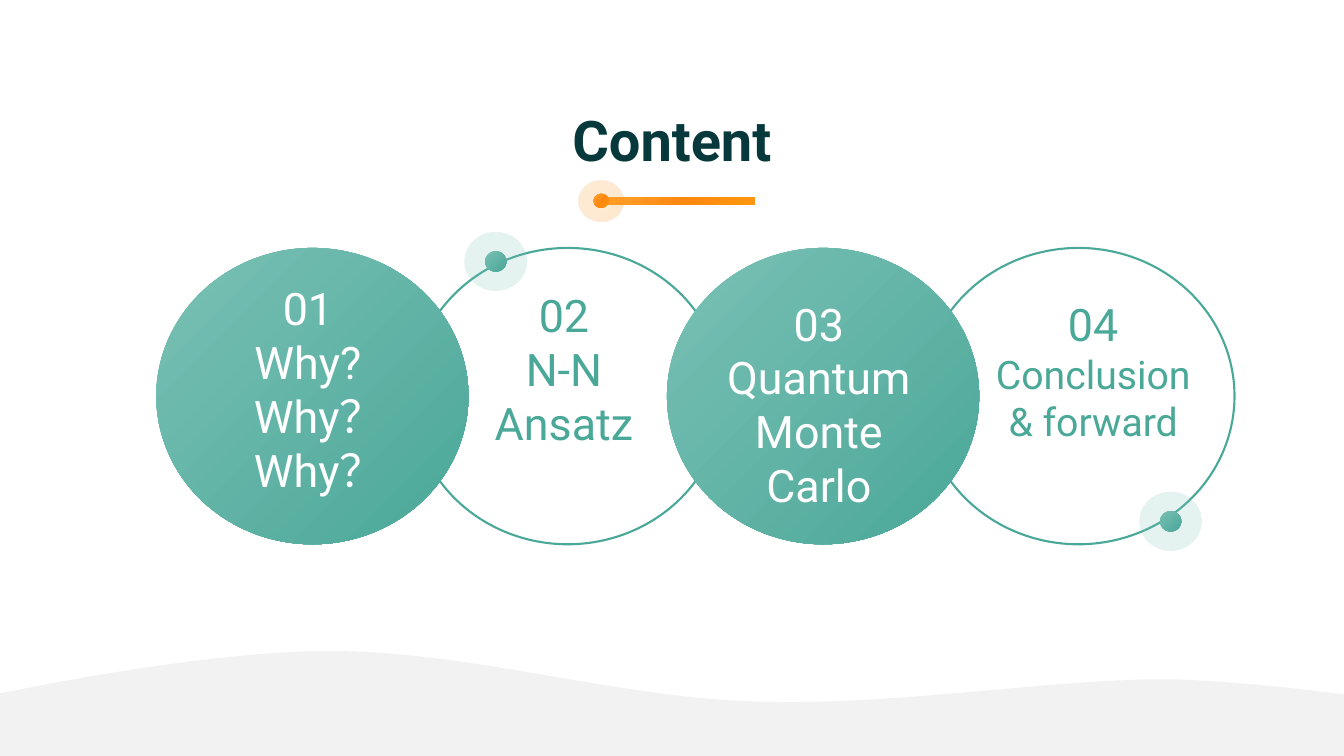
from lxml.etree import SubElement
from pptx import Presentation
from pptx.dml.color import RGBColor
from pptx.enum.shapes import MSO_SHAPE
from pptx.enum.text import MSO_AUTO_SIZE, PP_ALIGN
from pptx.oxml.ns import qn
from pptx.util import Pt

COLORS = {
    "mint": "7AC0B5",
    "teal": "4AA898",
    "ink": "06383C",
    "white": "FFFFFF",
    "amber": "FFA62E",
    "orange": "FF8811",
    "gold": "FE970D",
    "mist": "F2F2F2",
}
GREEN_BLEND = [(0, "mint", 100), (100, "teal", 100)]
GREEN_HALO = [(0, "mint", 20), (100, "mint", 20)]
ORANGE_BLEND = [(0, "amber", 100), (52, "orange", 100), (100, "gold", 100)]
ORANGE_HALO = [(0, "amber", 20), (52, "orange", 18), (100, "gold", 20)]

CIRCLE_LEFT, CIRCLE_TOP, CIRCLE_STEP = 111.6, 177.1, 182.4
CIRCLE_WIDTH, CIRCLE_HEIGHT = 223, 211.7
LABEL_WIDTH = 173.5
TWO_SPACES = 16

TOPICS = [
    (133.2, 197.3, 162.7, [("01", 32, 0), ("Why?", 32, 0),
                           ("Why？", 32, TWO_SPACES), ("Why？", 32, TWO_SPACES)]),
    (316.1, 202.3, 123.8, [("02", 32, 0), ("N-N", 32, 0), ("Ansatz", 32, 0)]),
    (498.2, 208.1, 162.7, [("03", 32, 0), ("Quantum", 32, 0),
                           ("Monte", 32, 0), ("Carlo", 32, 0)]),
    (694.1, 208.1, 113.8, [("04", 32, 0), ("Conclusion & forward", 28, 0)]),
]

WAVE_START = (245.5, 465.1)
WAVE_RIGHT = [
    [(343.4, 467.3), (442.8, 498.2), (538.6, 501.1)],
    [(641.5, 504.7), (755.3, 483.8), (841, 485.3)],
    [(873.4, 486.7), (906.5, 489.6), (936.7, 493.2)],
]
WAVE_BASE = [(960, 496.1), (960, 540), (0, 540), (0, 495.4), (7.2, 493.9)]
WAVE_LEFT = [
    [(74.9, 480.2), (160.6, 466.6), (225.4, 465.1)],
    [(231.8, 465.1), (238.3, 465.1), WAVE_START],
]


def rgb(color):
    return RGBColor.from_string(COLORS[color])


def add_plain(shapes, kind, left, top, width, height):
    shape = shapes.add_shape(kind, Pt(left), Pt(top), Pt(width), Pt(height))
    shape.shadow.inherit = False
    return shape


def add_blend(shapes, kind, box, stops):
    shape = add_plain(shapes, kind, *box)
    shape.line.fill.background()
    shape.fill.gradient()
    shape.fill.gradient_angle = 315
    stop_list = shape.fill._xPr.find(".//" + qn("a:gsLst"))
    stop_list.clear()
    for position, color, opacity in stops:
        stop = SubElement(stop_list, qn("a:gs"), pos=str(position * 1000))
        tint = SubElement(stop, qn("a:srgbClr"), val=COLORS[color])
        if opacity < 100:
            SubElement(tint, qn("a:alpha"), val=str(opacity * 1000))


def add_ring(shapes, box):
    ring = add_plain(shapes, MSO_SHAPE.OVAL, *box)
    ring.fill.background()
    ring.line.color.rgb = rgb("teal")
    ring.line.width = Pt(1.5)


def add_orbit_dot(slide, left, top):
    orbit = slide.shapes.add_group_shape().shapes
    add_blend(orbit, MSO_SHAPE.OVAL, (left, top, 44.8, 42.3), GREEN_HALO)
    add_blend(orbit, MSO_SHAPE.OVAL, (left + 14.8, top + 13.9, 15.2, 14.5), GREEN_BLEND)


def add_underline(slide):
    underline = slide.shapes.add_group_shape().shapes
    add_blend(underline, MSO_SHAPE.RECTANGLE, (428.5, 140.9, 110.4, 5.4), ORANGE_BLEND)
    add_blend(underline, MSO_SHAPE.OVAL, (413.3, 128.8, 31.9, 29.2), ORANGE_HALO)
    add_blend(underline, MSO_SHAPE.OVAL, (423.9, 138.4, 10.9, 10.1), ORANGE_BLEND)


def add_label(slide, box, lines, color, bold=False):
    label = slide.shapes.add_textbox(*map(Pt, box))
    frame = label.text_frame
    frame.word_wrap = True
    frame.auto_size = MSO_AUTO_SIZE.SHAPE_TO_FIT_TEXT
    for index, (words, size, indent) in enumerate(lines):
        paragraph = frame.add_paragraph() if index else frame.paragraphs[0]
        paragraph.alignment = PP_ALIGN.CENTER
        if indent:
            paragraph._p.get_or_add_pPr().set("marL", str(Pt(indent)))
        run = paragraph.add_run()
        run.text = words
        run.font.color.rgb = rgb(color)
        font_format = {"name": "Roboto", "size": Pt(size), "bold": bold}
        for attribute, value in font_format.items():
            setattr(run.font, attribute, value)


def trace_curves(start, curves, steps=24):
    points = []
    for first, second, end in curves:
        for step in range(1, steps + 1):
            t = step / steps
            weights = ((1 - t) ** 3, 3 * t * (1 - t) ** 2, 3 * t * t * (1 - t), t ** 3)
            corners = (start, first, second, end)
            points.append(tuple(
                sum(weight * corner[axis] for weight, corner in zip(weights, corners))
                for axis in (0, 1)))
        start = end
    return points


def add_wave(slide):
    outline = (trace_curves(WAVE_START, WAVE_RIGHT) + WAVE_BASE
               + trace_curves(WAVE_BASE[-1], WAVE_LEFT))
    builder = slide.shapes.build_freeform(*map(Pt, WAVE_START))
    builder.add_line_segments([(Pt(x), Pt(y)) for x, y in outline], close=True)
    wave = builder.convert_to_shape()
    wave.shadow.inherit = False
    wave.fill.solid()
    wave.fill.fore_color.rgb = rgb("mist")
    wave.line.fill.background()


def main():
    deck = Presentation()
    deck.slide_width, deck.slide_height = Pt(960), Pt(540)
    slide = deck.slides.add_slide(deck.slide_layouts[6])

    circles = [(CIRCLE_LEFT + CIRCLE_STEP * i, CIRCLE_TOP, CIRCLE_WIDTH, CIRCLE_HEIGHT)
               for i in range(len(TOPICS))]
    for circle in circles[1::2]:
        add_ring(slide.shapes, circle)
    for circle in circles[::2]:
        add_blend(slide.shapes, MSO_SHAPE.OVAL, circle, GREEN_BLEND)

    add_label(slide, (275.8, 72, 408.2, 55.4), [("Content", 40, 0)], "ink", bold=True)
    add_underline(slide)
    for index, (left, top, height, lines) in enumerate(TOPICS):
        color = "teal" if index % 2 else "white"
        add_label(slide, (left, top, LABEL_WIDTH, height), lines, color)
    add_orbit_dot(slide, 331.7, 165.6)
    add_orbit_dot(slide, 813.8, 351.2)
    add_wave(slide)
    deck.save("out.pptx")


if __name__ == "__main__":
    main()
